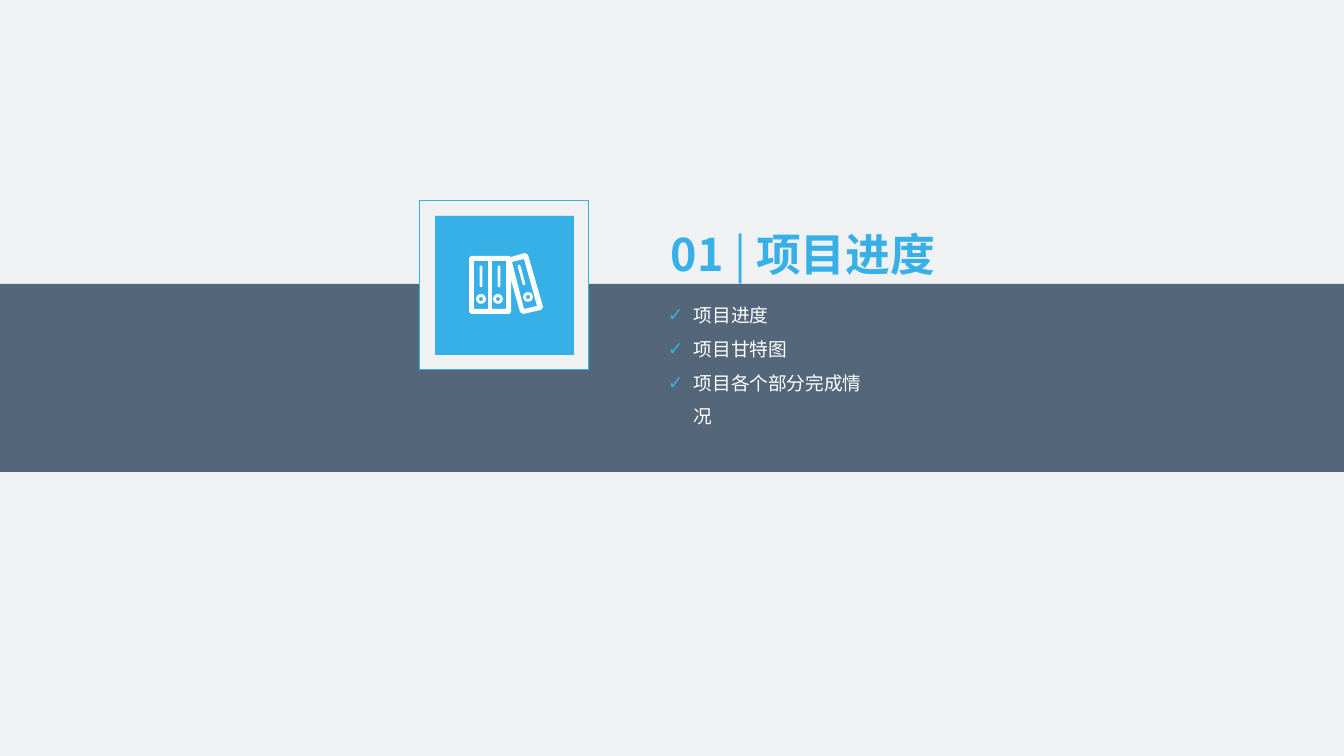
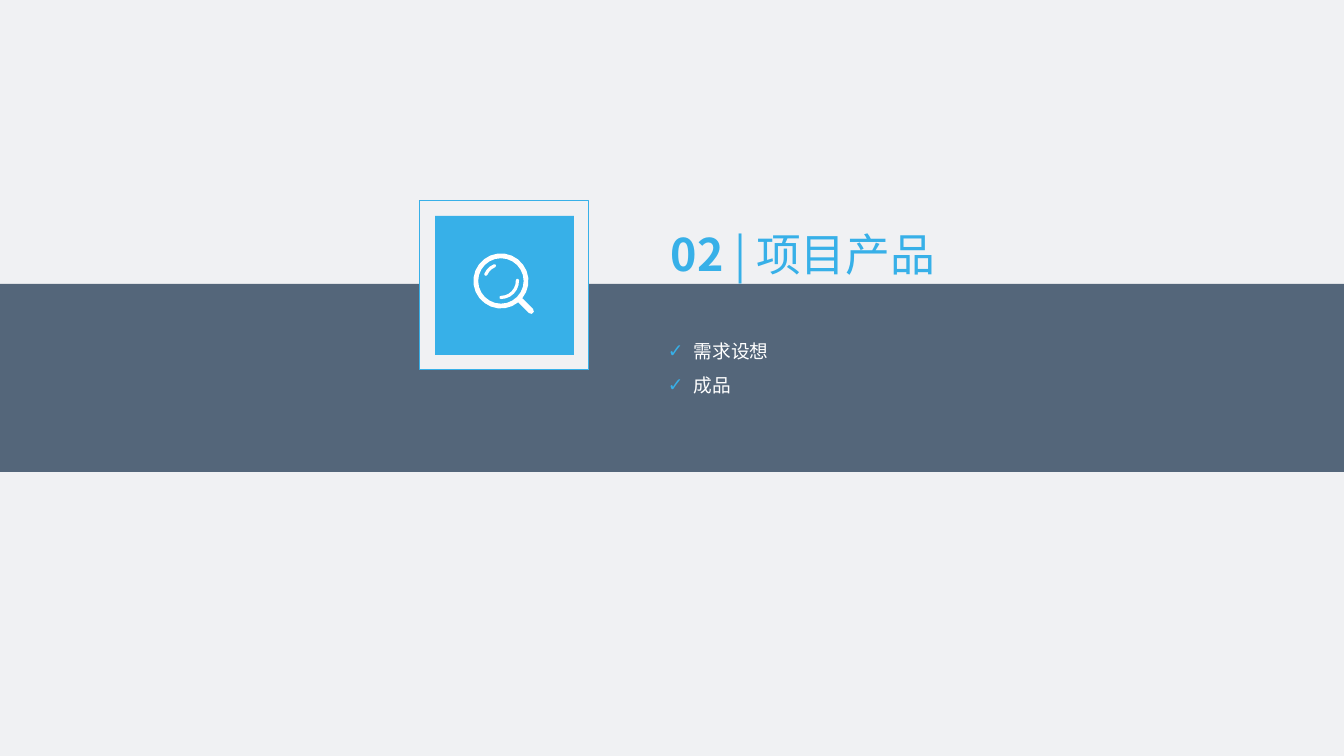
import math

import pptx
import pptx.dml.color
import pptx.enum.shapes
import pptx.enum.text
import pptx.oxml
import pptx.oxml.ns
import pptx.util

RGB = pptx.dml.color.RGBColor
PALE = RGB(0xF0, 0xF1, 0xF3)
SLATE = RGB(0x54, 0x66, 0x7A)
BLUE = RGB(0x37, 0xB0, 0xE8)
WHITE = RGB(0xFF, 0xFF, 0xFF)

PX = 914400 / 134.4          # EMU in one px
WIDTH, HEIGHT = 1344, 756
CJK_FONT = "Noto Sans CJK SC"
TITLE_STYLE = {"size": pptx.util.Pt(24), "name": CJK_FONT}
LIST_STYLE = {"size": pptx.util.Pt(10), "name": "Roboto Condensed", "bold": False}
FRAME_STYLE = {
    "word_wrap": True,
    "vertical_anchor": pptx.enum.text.MSO_ANCHOR.TOP,
    "margin_left": 0, "margin_top": 0, "margin_right": 0, "margin_bottom": 0,
    "auto_size": pptx.enum.text.MSO_AUTO_SIZE.SHAPE_TO_FIT_TEXT,
}
PARAGRAPH_STYLE = {
    "alignment": pptx.enum.text.PP_ALIGN.LEFT,
    "line_spacing": 1.5, "space_before": 0, "space_after": 0,
}


def px(n):
    return pptx.util.Emu(round(n * PX))


def apply(target, style):
    for key, value in style.items():
        setattr(target, key, value)


# Outlines for the icons: each returns a list of points in px
def polar(center, radius, degrees):
    a = math.radians(degrees)
    return center[0] + radius * math.cos(a), center[1] + radius * math.sin(a)


def arc(center, radius, start, end):
    """Points along an arc, closer together in degrees on larger radii."""
    step = 60 if radius < 3.5 else 36 if radius < 10 else 15
    steps = max(2, round(abs(end - start) / step))
    return [polar(center, radius, start + (end - start) * i / steps)
            for i in range(steps + 1)]


def circle(center, radius):
    return arc(center, radius, 0, 360)[:-1]


def box(left, top, right, bottom):
    return [(left, top), (right, top), (right, bottom), (left, bottom)]


def capsule(p1, p2, half):
    a = math.degrees(math.atan2(p2[1] - p1[1], p2[0] - p1[0]))
    return arc(p2, half, a - 90, a + 90) + arc(p1, half, a + 90, a + 270)


def curved_bar(center, radius, start, end, half):
    return (arc(center, radius + half, start, end)
            + arc(polar(center, radius, end), half, end, end + 180)[1:-1]
            + arc(center, radius - half, end, start)
            + arc(polar(center, radius, start), half, start + 180, start + 360)[1:-1])


def binders_icon():
    outlines = [
        [(471, 256), (509, 256), (511, 257), (525, 253), (528, 255), (543, 307),
         (541, 310), (523, 314), (520, 312), (511, 280), (511, 312), (509, 314),
         (471, 314), (469, 312), (469, 258)],
        [(512, 262), (524, 259), (537, 306), (524, 309)],
        capsule((519, 266), (524, 284), 1.4),
    ]
    for x in (481, 499):
        outlines += [box(x - 7, 261, x + 7, 309), capsule((x, 267), (x, 286), 1.4)]
    for center in ((481, 299), (498, 299), (528, 297)):
        outlines += [circle(center, 5), circle(center, 2.2)]
    return outlines


def magnifier_icon():
    center = (501, 281)
    return [
        arc(center, 27.5, 51, 399) + arc((531, 311), 3, -45, 135),
        circle(center, 22.7),
        curved_bar(center, 16.5, 204, 247, 1.6),
        curved_bar(center, 16.5, -2, 90, 1.6),
    ]


class Deck:
    """Holds the presentation, its style and the current slide."""

    def __init__(self):
        self.prs = pptx.Presentation()
        self.prs.slide_width, self.prs.slide_height = px(WIDTH), px(HEIGHT)
        fill = self.prs.slide_master.background.fill
        fill.solid()
        fill.fore_color.rgb = PALE
        self.slide = None

    def paint(self, sp, fill, line=None):
        sp.shadow.inherit = False
        sp.fill.solid()
        sp.fill.fore_color.rgb = fill
        if line is None:
            sp.line.fill.background()
        else:
            sp.line.color.rgb = line
            sp.line.width = pptx.util.Pt(0.5)

    def rect(self, left, top, width, height, fill, line=None):
        sp = self.slide.shapes.add_shape(
            pptx.enum.shapes.MSO_SHAPE.RECTANGLE,
            px(left), px(top), px(width), px(height))
        self.paint(sp, fill, line)

    def icon(self, outlines):
        fine = 20            # drawing units in one px
        scaled = [[(x * fine, y * fine) for x, y in points] for points in outlines]
        builder = self.slide.shapes.build_freeform(*scaled[0][0], scale=PX / fine)
        for i, points in enumerate(scaled):
            if i:
                builder.move_to(*points[0])
            builder.add_line_segments(points[1:], close=True)
        self.paint(builder.convert_to_shape(), WHITE)

    def place(self, sp, left, top, width, height):
        """Move a placeholder to the front and give it the shared frame."""
        sp.left, sp.top, sp.width, sp.height = map(px, (left, top, width, height))
        sp.element.getparent().append(sp.element)
        apply(sp.text_frame, FRAME_STYLE)
        return sp.text_frame

    def run(self, p, text, style, color):
        r = p.add_run()
        r.text = text
        apply(r.font, style)
        r.font.color.rgb = color
        r._r.get_or_add_rPr().append(pptx.oxml.parse_xml(
            f'<a:ea {pptx.oxml.ns.nsdecls("a")} typeface="{CJK_FONT}"/>'))

    def title(self, number, name, bold):
        tf = self.place(self.slide.shapes.title, 671, 200, 349, 82)
        p = tf.paragraphs[0]
        apply(p, PARAGRAPH_STYLE)
        for text, weight in ((f"{number} ", True), ("| ", False), (name, bold)):
            self.run(p, text, {**TITLE_STYLE, "bold": weight}, BLUE)

    def check_list(self, items, top, height):
        tf = self.place(self.slide.placeholders[1], 668, top, 210, height)
        for i, item in enumerate(items):
            p = tf.add_paragraph() if i else tf.paragraphs[0]
            apply(p, PARAGRAPH_STYLE)
            self.run(p, item, LIST_STYLE, WHITE)
            self.bullet(p)

    def bullet(self, p):
        pPr = p._p.get_or_add_pPr()
        pPr.set("marL", str(px(26)))
        pPr.set("indent", str(px(-26)))
        ns = pptx.oxml.ns.nsdecls("a")
        for xml in (f'<a:buClr {ns}><a:srgbClr val="{BLUE}"/></a:buClr>',
                    f'<a:buChar {ns} char="✓"/>'):
            pPr.append(pptx.oxml.parse_xml(xml))

    def section(self, number, name, bold, items, top, height, outlines):
        self.slide = self.prs.slides.add_slide(self.prs.slide_layouts[1])
        # Band and framed icon
        self.rect(0, 284, WIDTH, 188, SLATE)
        self.rect(420, 201, 169, 169, PALE, BLUE)
        self.rect(435, 216, 139, 139, BLUE)
        self.icon(outlines)
        # Contents and heading
        self.check_list(items, top, height)
        self.title(number, name, bold)


def main():
    deck = Deck()
    deck.section("01", "项目进度", True,
                 ["项目进度", "项目甘特图", "项目各个部分完成情况"],
                 293, 136, binders_icon())
    deck.section("02", "项目产品", False, ["需求设想", "成品"],
                 329, 67, magnifier_icon())
    deck.prs.save("out.pptx")


if __name__ == "__main__":
    main()
